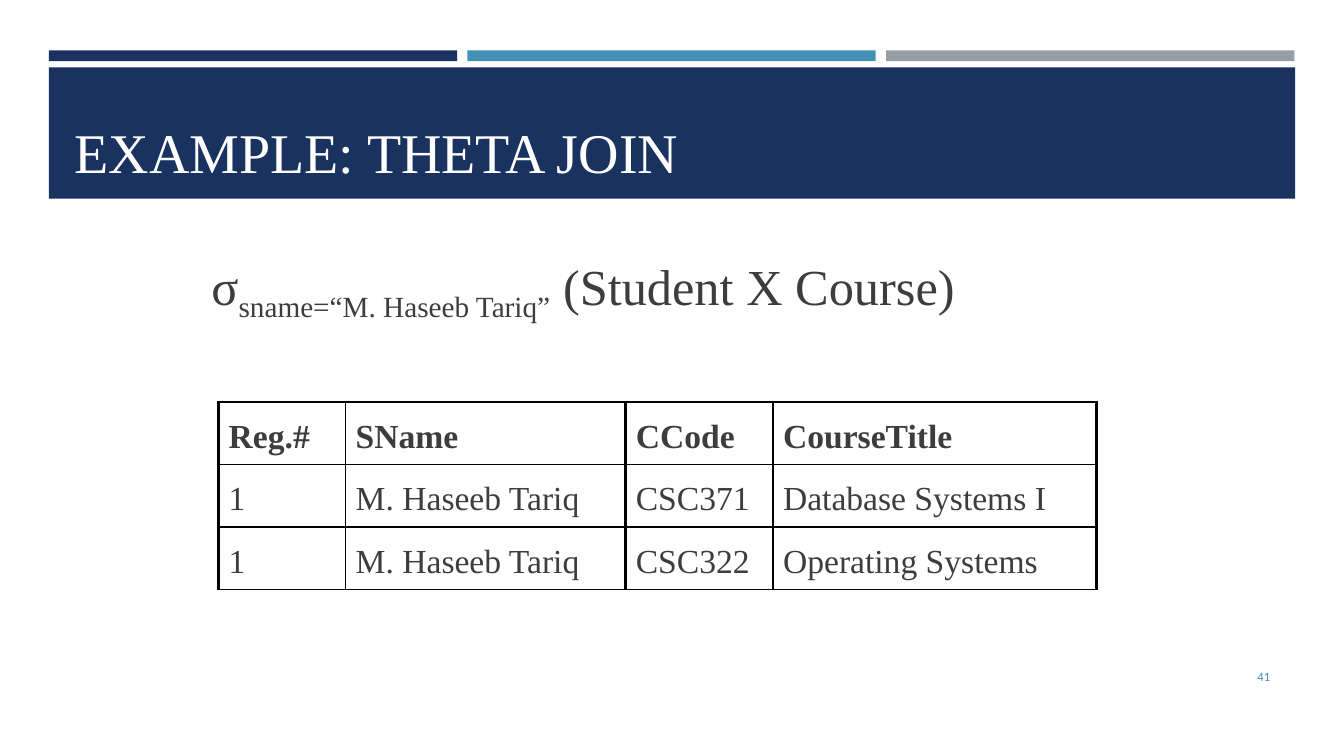
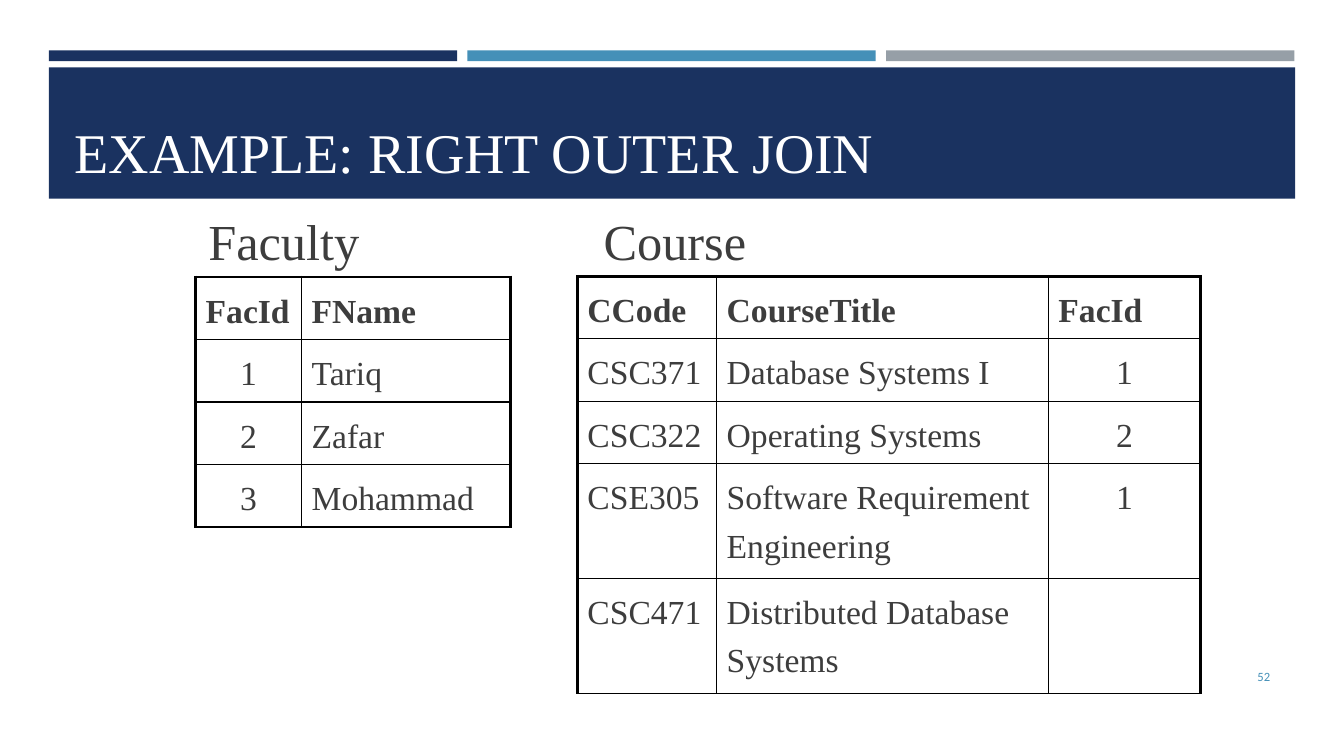
from dataclasses import dataclass

from lxml.etree import SubElement
from pptx import Presentation
from pptx.dml.color import RGBColor as Rgb
from pptx.enum.shapes import MSO_SHAPE as Shape
from pptx.enum.text import MSO_ANCHOR as Anchor
from pptx.enum.text import MSO_AUTO_SIZE as AutoSize
from pptx.enum.text import PP_ALIGN as Align
from pptx.oxml.ns import qn
from pptx.util import Cm, Pt


@dataclass(frozen=True)
class Theme:
    navy: Rgb = Rgb.from_string("1A3260")
    blue: Rgb = Rgb.from_string("4590B8")
    grey: Rgb = Rgb.from_string("969FA7")
    ink: Rgb = Rgb.from_string("3D3D3D")
    white: Rgb = Rgb.from_string("FFFFFF")
    border: Rgb = Rgb.from_string("000000")
    serif: str = "Times New Roman"
    sans: str = "Calibri"
    title_size: int = 40
    caption_size: int = 36
    table_size: int = 24
    number_size: int = 9
    thick: float = 2.25
    thin: float = 1
    line_spacing: float = 1.3


class Slides:
    """Holds the deck, its theme and the slide being built."""

    def __init__(self, theme):
        self.theme = theme
        self.deck = Presentation()
        self.deck.slide_width, self.deck.slide_height = Cm(33.87), Cm(19.05)
        self.layout = self.deck.slide_layouts[5]
        self.page = None

    def start(self, title, number):
        self.page = self.deck.slides.add_slide(self.layout)
        if len(self.deck.slides) == 1:
            self.decorate_layout()
        self.title(title)
        theme = self.theme
        self.text(str(number), 29.34, 16.54, 2.92, 1.02, anchor=Anchor.MIDDLE,
                  align=Align.RIGHT, size=theme.number_size, font=theme.sans,
                  color=theme.blue)

    def decorate_layout(self):
        """Draw the bands once and move them behind the layout's placeholders."""
        theme = self.theme
        bands = [self.band(1.23 + 10.55 * column, 1.27, 10.29, 0.27, color)
                 for column, color in enumerate((theme.navy, theme.blue, theme.grey))]
        bands.append(self.band(1.23, 1.7, 31.41, 3.31, theme.navy))
        for index, band in enumerate(bands):
            band.element.nvSpPr.cNvPr.set("id", str(20 + index))
            self.layout.shapes.element.insert(2 + index, band.element)

    def band(self, left, top, width, height, color):
        band = self.page.shapes.add_shape(
            Shape.RECTANGLE, Cm(left), Cm(top), Cm(width), Cm(height))
        band.shadow.inherit = False
        band.fill.solid()
        band.fill.fore_color.rgb = color
        band.line.fill.background()
        return band

    def title(self, text):
        box = self.page.shapes.title
        box.left, box.top, box.width, box.height = Cm(1.63), Cm(1.96), Cm(30.63), Cm(2.82)
        frame = box.text_frame
        frame.auto_size = AutoSize.NONE
        frame.vertical_anchor = Anchor.BOTTOM
        self.add_span(frame.paragraphs[0], text, size=self.theme.title_size,
                      color=self.theme.white)

    def text(self, text, left, top, width, height, anchor=Anchor.TOP, **style):
        box = self.page.shapes.add_textbox(Cm(left), Cm(top), Cm(width), Cm(height))
        frame = box.text_frame
        frame.word_wrap = True
        frame.vertical_anchor = anchor
        para = frame.paragraphs[0]
        self.add_span(para, text, **style)
        return para

    def add_span(self, para, text, size=None, font=None, color=None, bold=False,
                 align=Align.LEFT, baseline=0):
        """Append one formatted run; baseline is a percentage of the text size."""
        para.alignment = align
        span = para.add_run()
        span.text = text
        span.font.size = Pt(size or self.theme.caption_size)
        span.font.name = font or self.theme.serif
        span.font.bold = bold
        span.font.color.rgb = color or self.theme.ink
        if baseline:
            span._r.get_or_add_rPr().set("baseline", str(baseline * 1000))

    def table(self, rows, left, top, widths, heights=None, centred=()):
        """Add a table whose first row is the header; centred lists body columns."""
        theme = self.theme
        heights = heights or [1.47] * len(rows)
        grid = self.page.shapes.add_table(
            len(rows), len(widths), Cm(left), Cm(top),
            Cm(sum(widths)), Cm(sum(heights))).table
        grid.first_row = grid.horz_banding = False
        for column, width in zip(grid.columns, widths):
            column.width = Cm(width)
        for row, height in zip(grid.rows, heights):
            row.height = Cm(height)
        last = len(widths) - 1
        for r, values in enumerate(rows):
            for c, value in enumerate(values):
                cell = grid.cell(r, c)
                self.borders(cell, L=c == 0, R=c == last, T=r == 0, B=False)
                cell.fill.solid()
                cell.fill.fore_color.rgb = theme.white
                para = cell.text_frame.paragraphs[0]
                para.line_spacing = theme.line_spacing
                if value:
                    self.add_span(para, value, size=theme.table_size, bold=r == 0,
                                  align=Align.CENTER if r and c in centred else Align.LEFT)

    def borders(self, cell, **thick_sides):
        properties = cell._tc.get_or_add_tcPr()
        for side, thick in thick_sides.items():
            width = Pt(self.theme.thick if thick else self.theme.thin)
            line = SubElement(properties, qn(f"a:ln{side}"), w=str(width))
            fill = SubElement(line, qn("a:solidFill"))
            SubElement(fill, qn("a:srgbClr"), val=str(self.theme.border))


def theta_join(slides):
    slides.start("EXAMPLE: THETA JOIN", 41)
    slides.table([("CCode", "CourseTitle"),
                  ("CSC371", "Database Systems I"),
                  ("CSC322", "Operating Systems")],
                 15.77, 10.13, (3.71, 8.15))
    slides.table([("Reg.#", "SName"),
                  ("1", "M. Haseeb Tariq"),
                  ("1", "M. Haseeb Tariq")],
                 5.51, 10.13, (3.2, 7.06))
    formula = slides.text("σ", 5.08, 6.3, 22.35, 1.8)
    slides.add_span(formula, "sname=“M. Haseeb Tariq”", baseline=-25)
    slides.add_span(formula, " (Student X Course)")


def right_outer_join(slides):
    slides.start("EXAMPLE: RIGHT OUTER JOIN", 52)
    slides.table([("CCode", "CourseTitle", "FacId"),
                  ("CSC371", "Database Systems I", "1"),
                  ("CSC322", "Operating Systems", "2"),
                  ("CSE305", "Software Requirement Engineering", "1"),
                  ("CSC471", "Distributed Database Systems", "")],
                 14.55, 6.96, (3.51, 8.36, 3.84),
                 heights=(1.47, 1.47, 1.47, 2.7, 2.7), centred=(2,))
    slides.table([("FacId", "FName"),
                  ("1", "Tariq"),
                  ("2", "Zafar"),
                  ("3", "Mohammad")],
                 4.93, 6.98, (2.67, 5.26), centred=(0,))
    for caption, left in (("Faculty", 5), ("Course", 14.96)):
        slides.text(caption, left, 5.18, 5.77, 1.8)


def main():
    slides = Slides(Theme())
    theta_join(slides)
    right_outer_join(slides)
    slides.deck.save("out.pptx")


if __name__ == "__main__":
    main()
